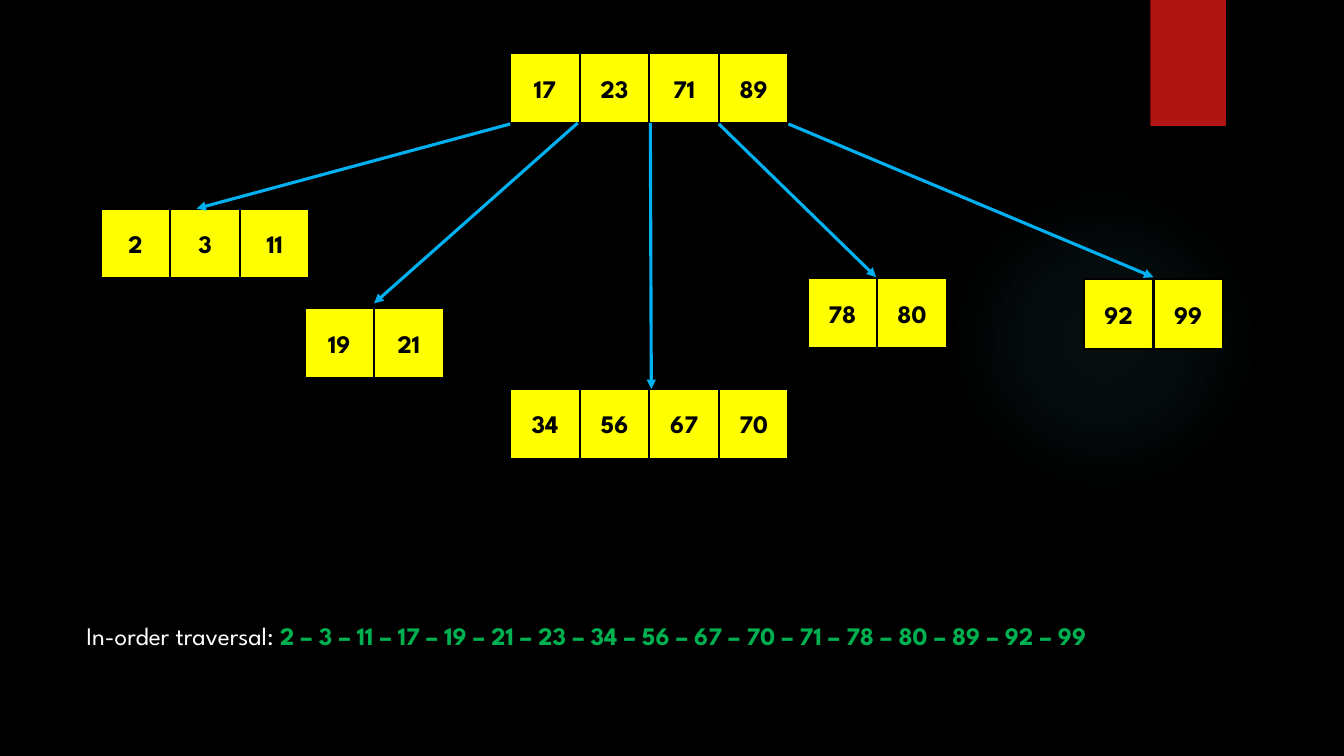
from dataclasses import dataclass

import pptx
import pptx.dml.color
import pptx.enum.shapes
import pptx.enum.text
import pptx.oxml
import pptx.oxml.ns
import pptx.util
from lxml import etree

Inches = pptx.util.Inches
Pt = pptx.util.Pt
RGB = pptx.dml.color.RGBColor
Shape = pptx.enum.shapes.MSO_SHAPE
qn = pptx.oxml.ns.qn


@dataclass(frozen=True)
class Theme:
    font: str = "League Spartan"
    size: float = 18
    black: str = "000000"
    white: str = "FFFFFF"
    key: str = "FFFF00"
    arrow: str = "00B0F0"
    traversal: str = "00B050"
    ribbon: str = "B01513"
    glow: str = "50B9C1"
    key_border: float = 1.5
    arrow_width: float = 2.25


@dataclass(frozen=True)
class Node:
    keys: tuple[int, ...]
    left: float
    top: float


@dataclass(frozen=True)
class Arrow:
    start: tuple[float, float]
    end: tuple[float, float]


THEME = Theme()
CELL = 0.69
ROOT = Node((17, 23, 71, 89), 5.06, 0.53)
LEAVES = (
    Node((2, 3, 11), 1, 2.07),
    Node((19, 21), 3.02, 3.06),
    Node((34, 56, 67, 70), 5.06, 3.86),
    Node((78, 80), 8.01, 2.76),
    Node((92, 99), 10.75, 2.77),
)
ARROWS = (
    Arrow((5.06, 1.23), (1.95, 2.07)),
    Arrow((5.73, 1.22), (3.71, 3.01)),
    Arrow((6.45, 1.22), (6.46, 3.86)),
    Arrow((7.13, 1.23), (8.69, 2.75)),
    Arrow((7.82, 1.23), (11.44, 2.75)),
)
GLOW_STOPS = ((0, 7), (36, 6), (69, 0))  # position and opacity, in percent


def add_plain_shape(slide, kind: Shape, left: float, top: float,
                    width: float, height: float, color: str):
    sp = slide.shapes.add_shape(
        kind, Inches(left), Inches(top), Inches(width), Inches(height))
    sp.shadow.inherit = False
    sp.fill.solid()
    sp.fill.fore_color.rgb = RGB.from_string(color)
    sp.line.fill.background()
    return sp


def add_glow(slide) -> None:
    """Add the faint disc that fades out from its centre."""
    sp = add_plain_shape(slide, Shape.OVAL, 9.41, 1.83, 3.08, 3.08, THEME.glow)
    stops = "".join(
        f'<a:gs pos="{pos * 1000}"><a:srgbClr val="{THEME.glow}">'
        f'<a:alpha val="{opacity * 1000}"/></a:srgbClr></a:gs>'
        for pos, opacity in GLOW_STOPS)
    gradient = pptx.oxml.parse_xml(
        f'<a:gradFill {pptx.oxml.ns.nsdecls("a")} rotWithShape="1">'
        f'<a:gsLst>{stops}</a:gsLst><a:path path="circle">'
        '<a:fillToRect l="50000" t="50000" r="50000" b="50000"/>'
        '</a:path></a:gradFill>')
    properties = sp.element.spPr
    properties.replace(properties.find(qn("a:solidFill")), gradient)


def add_node(slide, node: Node) -> None:
    for i, key in enumerate(node.keys):
        sp = add_plain_shape(slide, Shape.RECTANGLE, node.left + i * CELL,
                             node.top, CELL, CELL, THEME.key)
        sp.line.color.rgb = RGB.from_string(THEME.black)
        sp.line.width = Pt(THEME.key_border)
        tf = sp.text_frame
        tf.vertical_anchor = pptx.enum.text.MSO_ANCHOR.MIDDLE
        p = tf.paragraphs[0]
        p.text = str(key)
        p.alignment = pptx.enum.text.PP_ALIGN.CENTER
        p.font.name = THEME.font
        p.font.size = Pt(THEME.size)
        p.font.bold = True
        p.font.color.rgb = RGB.from_string(THEME.black)


def add_arrow(slide, arrow: Arrow) -> None:
    line = slide.shapes.add_connector(
        pptx.enum.shapes.MSO_CONNECTOR.STRAIGHT,
        *map(Inches, arrow.start + arrow.end))
    line.line.color.rgb = RGB.from_string(THEME.arrow)
    line.line.width = Pt(THEME.arrow_width)
    etree.SubElement(line.get_or_add_ln(), qn("a:tailEnd"), type="triangle")
    etree.SubElement(line.element.spPr, qn("a:effectLst"))


def in_order() -> list[int]:
    """List the keys of the tree, each root key following its left child."""
    keys = list(LEAVES[0].keys)
    for root_key, leaf in zip(ROOT.keys, LEAVES[1:]):
        keys += [root_key, *leaf.keys]
    return keys


def add_traversal(slide) -> None:
    box = slide.shapes.add_textbox(
        Inches(0.76), Inches(6.1), Inches(11.84), Inches(0.4))
    tf = box.text_frame
    tf.word_wrap = True
    p = tf.paragraphs[0]
    p.font.name = THEME.font
    p.font.size = Pt(THEME.size)
    for text, color, bold in (
        ("In-order traversal: ", THEME.white, False),
        (" – ".join(map(str, in_order())), THEME.traversal, True),
    ):
        r = p.add_run()
        r.text = text
        r.font.name = THEME.font
        r.font.size = Pt(THEME.size)
        r.font.bold = bold
        r.font.color.rgb = RGB.from_string(color)


def main() -> None:
    prs = pptx.Presentation()
    prs.slide_width, prs.slide_height = Inches(13.33), Inches(7.5)
    slide = prs.slides.add_slide(prs.slide_layouts[6])
    slide.background.fill.solid()
    slide.background.fill.fore_color.rgb = RGB.from_string(THEME.black)
    add_glow(slide)
    add_plain_shape(slide, Shape.RECTANGLE, 11.41, 0, 0.75, 1.25, THEME.ribbon)
    for node in (ROOT, *LEAVES):
        add_node(slide, node)
    for arrow in ARROWS:
        add_arrow(slide, arrow)
    add_traversal(slide)
    prs.save("out.pptx")


if __name__ == "__main__":
    main()
